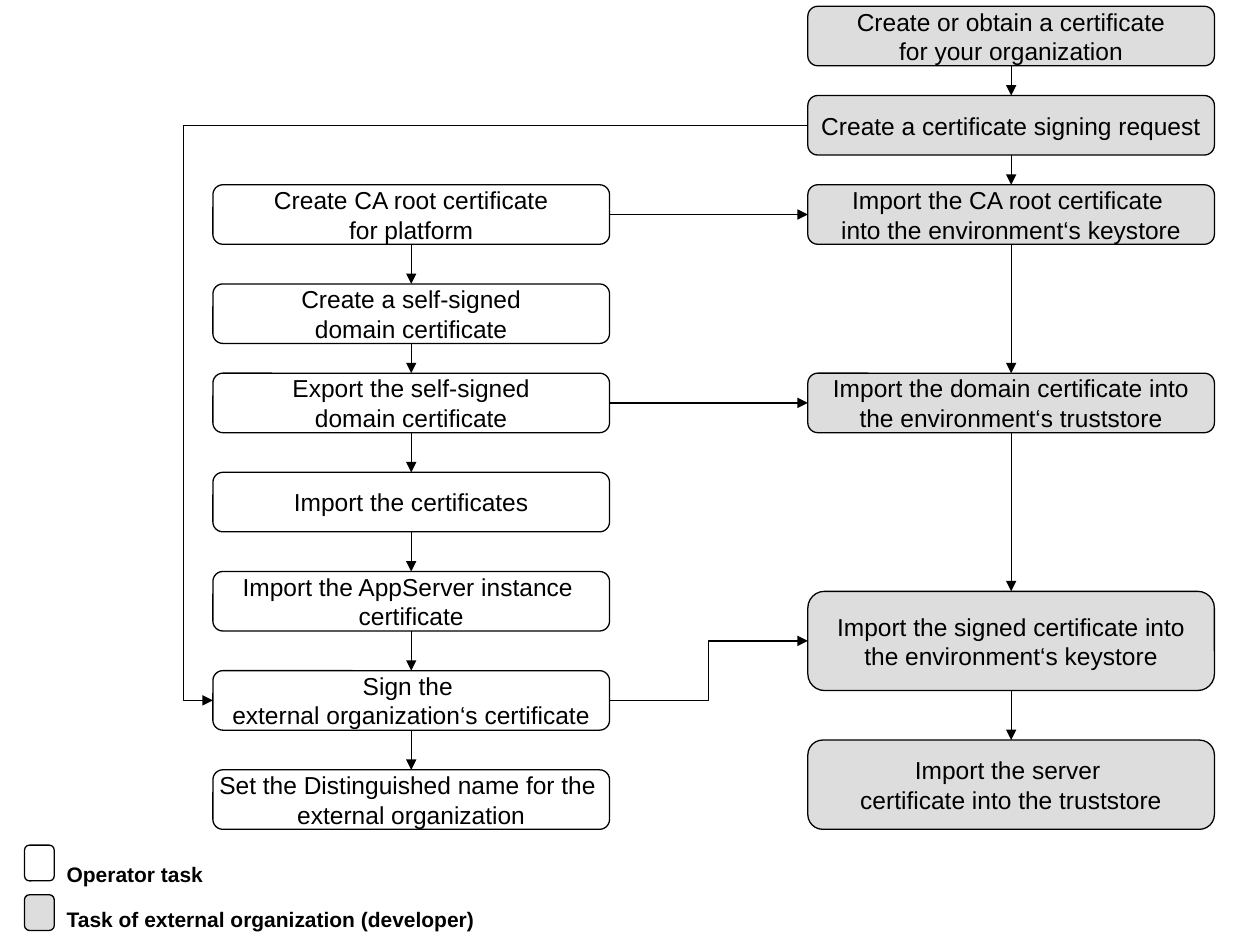
"""Draw the certificate workflow shared by the operator and the external organization."""
from dataclasses import dataclass
from itertools import pairwise
from typing import Any

from lxml import etree
from pptx import Presentation
from pptx import util as u
from pptx.dml.color import RGBColor
from pptx.enum import shapes, text
from pptx.oxml.ns import qn

UNIT = 0.0787
ORIGIN_LEFT, ORIGIN_TOP = 1.69, 0.05
OPERATOR, EXTERNAL = None, "DDDDDD"
INK = "000000"
LINE_WIDTH = 0.75
TOP, LEFT, BOTTOM, RIGHT = range(4)
TASK_FONT = {"name": "Arial", "size": u.Pt(14)}
LEGEND_FONT = {"name": "Arial", "size": u.Pt(12), "bold": True}
TASK_FRAME = {"vertical_anchor": text.MSO_ANCHOR.MIDDLE, "word_wrap": False}
LEGEND_FRAME = {"word_wrap": False, "auto_size": text.MSO_AUTO_SIZE.SHAPE_TO_FIT_TEXT}


@dataclass(frozen=True)
class Lane:
    """A column of tasks that belong to one party."""
    column: float
    columns: float
    fill: str | None


@dataclass(frozen=True)
class Task:
    """One step of a lane, placed by grid row."""
    row: float
    label: str
    rows: float = 6


@dataclass(frozen=True)
class Link:
    """An arrow from one operator or external task to another."""
    start: Any
    start_site: int
    end: Any
    end_site: int
    bend: float | None = None


@dataclass(frozen=True)
class LegendEntry:
    """A colour key with its caption."""
    key_row: float
    caption_row: float
    columns: float
    fill: str | None
    caption: str


OPERATOR_LANE = Lane(0, 40, OPERATOR)
EXTERNAL_LANE = Lane(60, 41, EXTERNAL)

OPERATOR_TASKS = [
    Task(18, "Create CA root certificate\nfor platform"),
    Task(28, "Create a self-signed\vdomain certificate"),
    Task(37, "Export the self-signed\vdomain certificate"),
    Task(47, "Import the certificates"),
    Task(57, "Import the AppServer instance \ncertificate"),
    Task(67, "Sign the \nexternal organization‘s certificate"),
    Task(77, "Set the Distinguished name for the \nexternal organization"),
]
EXTERNAL_TASKS = [
    Task(0, "Create or obtain a certificate\nfor your organization"),
    Task(9, "Create a certificate signing request"),
    Task(18, "Import the CA root certificate \ninto the environment‘s keystore"),
    Task(37, "Import the domain certificate into\nthe environment‘s truststore"),
    Task(59, "Import the signed certificate into\nthe environment‘s keystore", 10),
    Task(74, "Import the server \ncertificate into the truststore", 9),
]
LEGEND = [
    LegendEntry(84.6, 85.6, 16.3, OPERATOR, "Operator task"),
    LegendEntry(89.6, 90.2, 43.8, EXTERNAL, "Task of external organization (developer)"),
]


def color(value: str) -> RGBColor:
    """Turn a hex string into a colour."""
    return RGBColor.from_string(value)


def apply(target: Any, values: dict[str, Any]) -> None:
    """Set every attribute named in a dict of format values."""
    for name, value in values.items():
        setattr(target, name, value)


def place(column: float, row: float, columns: float, rows: float) -> tuple[u.Inches, ...]:
    """Convert a grid cell range to left, top, width and height."""
    return (u.Inches(ORIGIN_LEFT + column * UNIT), u.Inches(ORIGIN_TOP + row * UNIT),
            u.Inches(columns * UNIT), u.Inches(rows * UNIT))


def write(shape: Any, words: str, frame: dict, font: dict, align: Any) -> None:
    """Fill a shape with formatted text."""
    apply(shape.text_frame, frame)
    shape.text_frame.text = words
    for para in shape.text_frame.paragraphs:
        para.alignment = align
        for span in para.runs:
            apply(span.font, font)
            span.font.color.rgb = color(INK)


def draw_box(page: Any, cells: tuple[float, ...], fill: str | None) -> Any:
    """Draw a rounded, outlined box."""
    box = page.shapes.add_shape(shapes.MSO_SHAPE.ROUNDED_RECTANGLE, *place(*cells))
    box.shadow.inherit = False
    if fill:
        box.fill.solid()
        box.fill.fore_color.rgb = color(fill)
    else:
        box.fill.background()
    box.line.color.rgb = color(INK)
    box.line.width = u.Pt(LINE_WIDTH)
    return box


def draw_lane(page: Any, lane: Lane, tasks: list[Task]) -> list[Any]:
    """Draw the tasks of a lane and return their boxes."""
    boxes = []
    for task in tasks:
        box = draw_box(page, (lane.column, task.row, lane.columns, task.rows), lane.fill)
        write(box, task.label, TASK_FRAME, TASK_FONT, text.PP_ALIGN.CENTER)
        boxes.append(box)
    return boxes


def draw_link(page: Any, link: Link) -> None:
    """Draw a straight or bent arrow attached to two boxes."""
    kinds = shapes.MSO_CONNECTOR
    kind = kinds.STRAIGHT if link.bend is None else kinds.ELBOW
    arrow = page.shapes.add_connector(kind, 0, 0, 0, 0)
    arrow.begin_connect(link.start, link.start_site)
    arrow.end_connect(link.end, link.end_site)
    arrow.line.color.rgb = color(INK)
    arrow.line.width = u.Pt(LINE_WIDTH)
    properties = arrow.element.spPr
    etree.SubElement(arrow.line._get_or_add_ln(), qn("a:tailEnd"), type="triangle")
    etree.SubElement(properties, qn("a:effectLst"))
    if link.bend is not None:
        guides = properties.find(qn("a:prstGeom")).get_or_add_avLst()
        etree.SubElement(guides, qn("a:gd"), name="adj1", fmla=f"val {round(link.bend * 100000)}")


def draw_legend(page: Any, entry: LegendEntry) -> None:
    """Draw one colour key and its caption."""
    draw_box(page, (-19, entry.key_row, 3, 3.6), entry.fill)
    caption = page.shapes.add_textbox(*place(-16, entry.caption_row, entry.columns, 3.8))
    write(caption, entry.caption, LEGEND_FRAME, LEGEND_FONT, text.PP_ALIGN.LEFT)


def main() -> None:
    """Build and save the slide."""
    deck = Presentation()
    deck.slide_width, deck.slide_height = u.Inches(10), u.Inches(7.5)
    page = deck.slides.add_slide(deck.slide_layouts[6])
    operator = draw_lane(page, OPERATOR_LANE, OPERATOR_TASKS)
    external = draw_lane(page, EXTERNAL_LANE, EXTERNAL_TASKS)
    links = [Link(upper, BOTTOM, lower, TOP)
             for lane in (operator, external) for upper, lower in pairwise(lane)]
    links += [
        Link(operator[0], RIGHT, external[2], LEFT),
        Link(operator[2], RIGHT, external[3], LEFT),
        Link(operator[5], RIGHT, external[4], LEFT, 0.5),
        Link(external[1], LEFT, operator[5], LEFT, 1.05),
    ]
    for link in links:
        draw_link(page, link)
    for entry in LEGEND:
        draw_legend(page, entry)
    deck.save("out.pptx")


if __name__ == "__main__":
    main()
